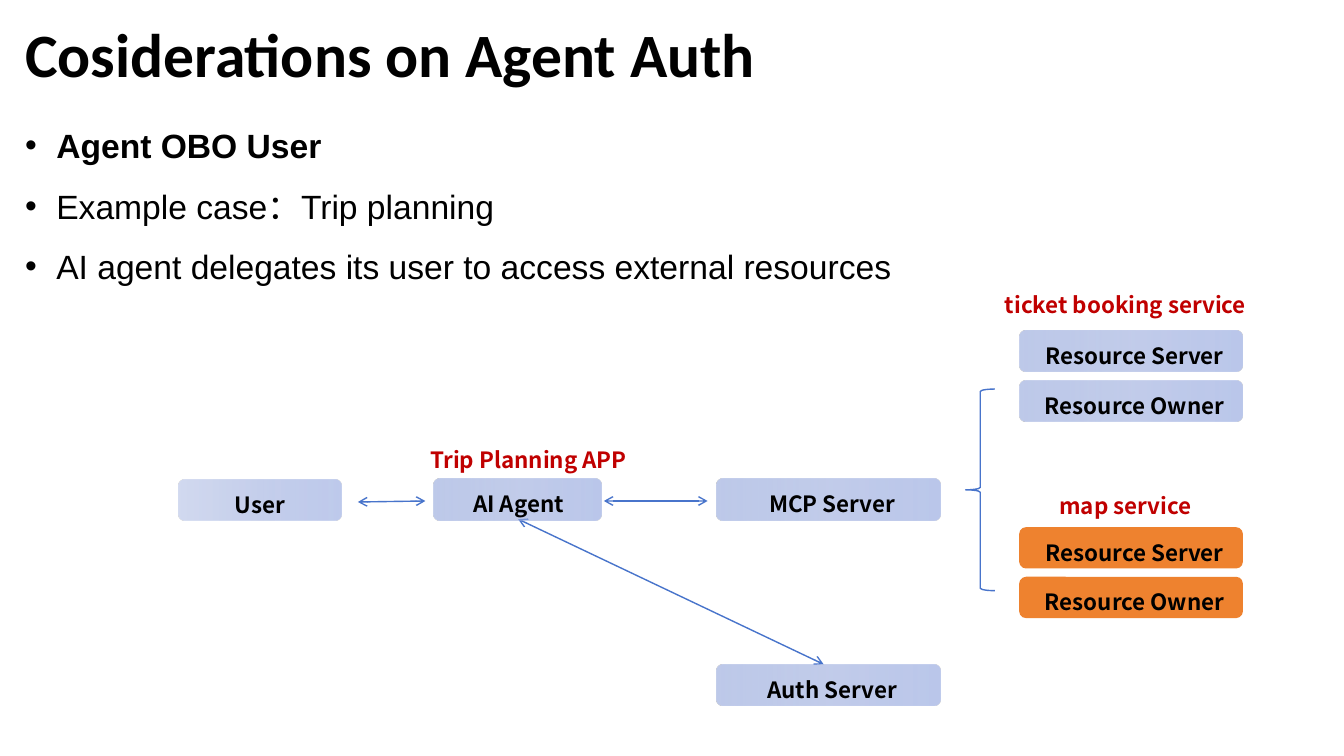
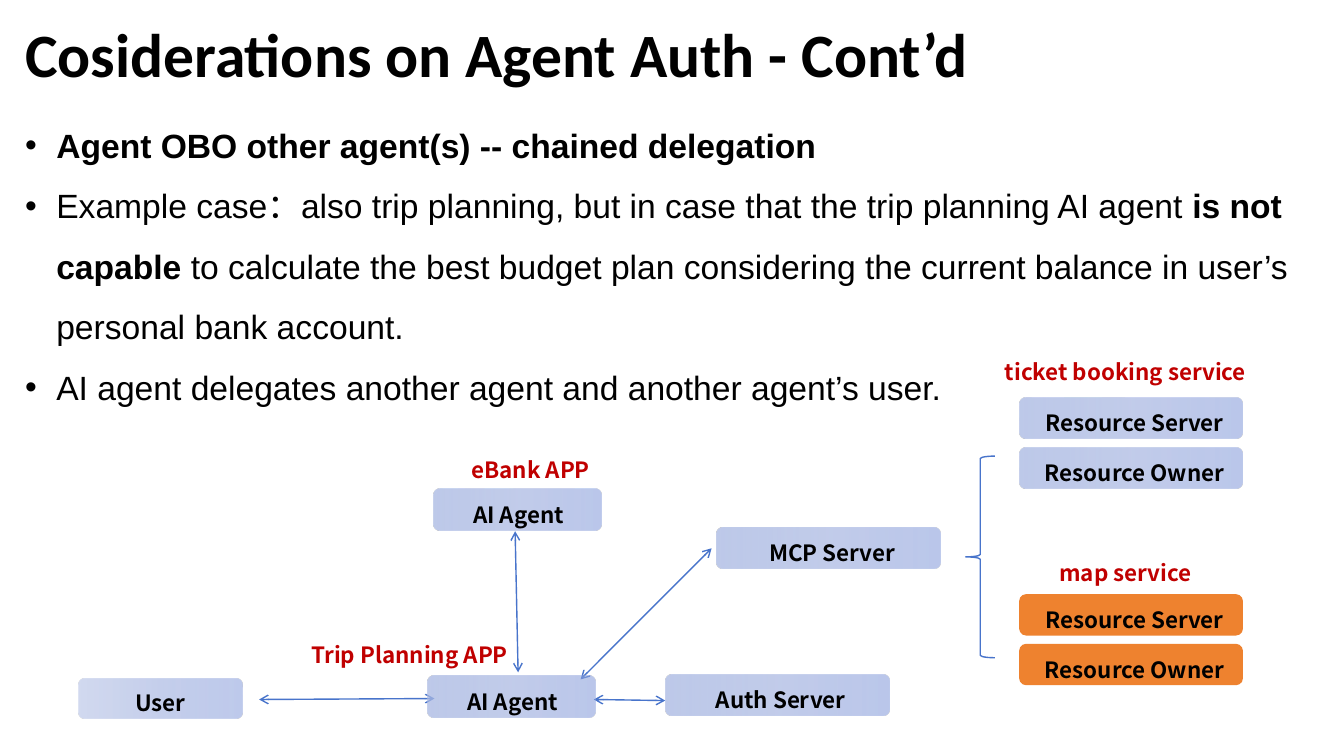
from dataclasses import dataclass
from typing import NamedTuple

from lxml.etree import SubElement
from pptx import Presentation
from pptx.dml.color import RGBColor
from pptx.enum.shapes import MSO_CONNECTOR as Connector, MSO_SHAPE as Preset
from pptx.enum.text import MSO_ANCHOR as Anchor, PP_ALIGN as Align
from pptx.oxml.ns import qn
from pptx.util import Emu, Inches, Pt

SLIDE_WIDTH, SLIDE_HEIGHT = Inches(13.33), Inches(7.5)
BLACK, RED, ORANGE, BLUE = "000000", "C00000", "EE822F", "4874CB"
TITLE_FONT, BODY_FONT, LABEL_FONT = "Calibri", "Arial", "Noto Sans CJK SC"
BODY_INDENT = Inches(0.31)
LABEL_WIDTH, LABEL_HEIGHT = 21.23, 4.8


class Stop(NamedTuple):
    position: int
    colour: str
    opacity: int


class Span(NamedTuple):
    text: str
    bold: bool = False


class Area(NamedTuple):
    left: float
    top: float
    width: float
    height: float


class Label(NamedTuple):
    text: str
    left: float
    top: float


class Link(NamedTuple):
    start: tuple[float, float]
    end: tuple[float, float]


@dataclass(frozen=True)
class NodeStyle:
    width: float
    height: float
    fill: str | tuple[Stop, ...]
    text_shift: float = 0


@dataclass(frozen=True)
class Node:
    text: str
    style: NodeStyle
    left: float
    top: float


@dataclass(frozen=True)
class Diagram:
    title: str
    body_height: float
    bullets: list[list[Span]]
    services_top: float
    labels: list[Label]
    links: list[Link]
    nodes: list[Node]


SOFT_BLUE = (Stop(0, "AAB9E3", 76), Stop(50, "9CADDE", 61), Stop(100, "8A9FDD", 58))
PALE_BLUE = (Stop(0, "AAB9E3", 53), Stop(50, "9CADDE", 58), Stop(100, "8A9FDD", 55))
USER = NodeStyle(12.15, 5.33, PALE_BLUE)
AGENT = NodeStyle(12.53, 5.47, SOFT_BLUE, 0.02)
SERVER = NodeStyle(16.65, 5.47, SOFT_BLUE, 0.07)
MAP_SERVER = NodeStyle(16.65, 5.47, ORANGE, 0.07)

DIAGRAMS = [
    Diagram(
        title="Cosiderations on Agent Auth",
        body_height=30,
        bullets=[
            [Span("Agent OBO User", True)],
            [Span("Example case：Trip planning")],
            [Span("AI agent delegates its user to access external resources")],
        ],
        services_top=43.73,
        labels=[Label("Trip Planning APP", 28.73, 58.4)],
        links=[
            Link((26.63, 66.4), (31.65, 66.27)),
            Link((44.93, 66.27), (52.65, 66.27)),
            Link((38.55, 68.67), (61.28, 87.87)),
        ],
        nodes=[
            Node("User", USER, 13.28, 63.47),
            Node("AI Agent", AGENT, 32.25, 63.33),
            Node("MCP Server", SERVER, 53.33, 63.33),
            Node("Auth Server", SERVER, 53.33, 87.87),
        ],
    ),
    Diagram(
        title="Cosiderations on Agent Auth - Cont’d",
        body_height=24.67,
        bullets=[
            [Span("Agent OBO other agent(s) -- chained delegation", True)],
            [
                Span("Example case：also trip planning, but in case that the trip planning AI agent "),
                Span("is not capable", True),
                Span(" to calculate the best budget plan considering the current balance in user’s personal bank account."),
            ],
            [Span("AI agent delegates another agent and another agent’s user.")],
        ],
        services_top=52.6,
        labels=[
            Label("eBank APP", 28.88, 59.73),
            Label("Trip Planning APP", 19.88, 84.13),
        ],
        links=[
            Link((19.28, 92.53), (32.33, 92.4)),
            Link((43.2, 89.87), (52.95, 72.53)),
            Link((44.18, 92.53), (49.5, 92.67)),
            Link((38.55, 88.93), (38.33, 70.27)),
        ],
        nodes=[
            Node("User", USER, 5.87, 89.73),
            Node("AI Agent", AGENT, 32.25, 64.67),
            Node("AI Agent", AGENT, 31.8, 89.4),
            Node("MCP Server", SERVER, 53.33, 69.73),
            Node("Auth Server", SERVER, 49.5, 89.2),
        ],
    ),
]


def across(share: float) -> Emu:
    return Emu(round(SLIDE_WIDTH * share / 100))


def down(share: float) -> Emu:
    return Emu(round(SLIDE_HEIGHT * share / 100))


def place(area: Area) -> tuple[Emu, Emu, Emu, Emu]:
    return across(area.left), down(area.top), across(area.width), down(area.height)


def rgb(colour: str) -> RGBColor:
    return RGBColor.from_string(colour)


def add_span(para, span: Span, font: str, size: float, colour: str) -> None:
    run = para.add_run()
    run.text = span.text
    run.font.name = font
    run.font.size = Pt(size)
    run.font.bold = span.bold
    run.font.color.rgb = rgb(colour)


def add_text_box(page, area: Area):
    frame = page.shapes.add_textbox(*place(area)).text_frame
    frame.word_wrap = True
    return frame


def add_title(page, text: str) -> None:
    frame = add_text_box(page, Area(1.13, 2.53, 91.13, 10.13))
    frame.vertical_anchor = Anchor.MIDDLE
    para = frame.paragraphs[0]
    para.line_spacing = 0.9
    add_span(para, Span(text, True), TITLE_FONT, 44, BLACK)


def add_bullets(page, bullets: list[list[Span]], height: float) -> None:
    frame = add_text_box(page, Area(1.13, 13.2, 97.95, height))
    for index, spans in enumerate(bullets):
        para = frame.add_paragraph() if index else frame.paragraphs[0]
        para.line_spacing = 1.5
        properties = para._p.get_or_add_pPr()
        properties.set("marL", str(BODY_INDENT))
        properties.set("indent", str(-BODY_INDENT))
        SubElement(properties, qn("a:buFont"), typeface=BODY_FONT)
        SubElement(properties, qn("a:buChar"), char="•")
        for span in spans:
            add_span(para, span, BODY_FONT, 24, BLACK)


def add_label(page, label: Label) -> None:
    frame = add_text_box(page, Area(label.left, label.top, LABEL_WIDTH, LABEL_HEIGHT))
    para = frame.paragraphs[0]
    para.alignment = Align.CENTER
    add_span(para, Span(label.text, True), LABEL_FONT, 16, RED)


def fill_gradient(shape, stops: tuple[Stop, ...]) -> None:
    shape.fill.gradient()
    shape.fill.gradient_angle = 0
    stop_list = shape._element.spPr.find(qn("a:gradFill")).find(qn("a:gsLst"))
    for old_stop in list(stop_list):
        stop_list.remove(old_stop)
    for stop in stops:
        entry = SubElement(stop_list, qn("a:gs"), pos=str(stop.position * 1000))
        colour = SubElement(entry, qn("a:srgbClr"), val=stop.colour)
        SubElement(colour, qn("a:alpha"), val=str(stop.opacity * 1000))


def add_node(page, node: Node) -> None:
    style = node.style
    area = Area(node.left, node.top, style.width, style.height)
    box = page.shapes.add_shape(Preset.ROUNDED_RECTANGLE, *place(area))
    box.shadow.inherit = False
    box.line.fill.background()
    if isinstance(style.fill, str):
        box.fill.solid()
        box.fill.fore_color.rgb = rgb(style.fill)
    else:
        fill_gradient(box, style.fill)
    frame = box.text_frame
    frame.word_wrap = True
    frame.vertical_anchor = Anchor.MIDDLE
    frame.margin_left, frame.margin_right = Inches(style.text_shift), 0
    frame.margin_top, frame.margin_bottom = Inches(0.09), 0
    para = frame.paragraphs[0]
    para.alignment = Align.CENTER
    add_span(para, Span(node.text, True), LABEL_FONT, 16, BLACK)


def add_link(page, link: Link) -> None:
    (left, top), (right, bottom) = link.start, link.end
    arrow = page.shapes.add_connector(
        Connector.STRAIGHT, across(left), down(top), across(right), down(bottom)
    )
    arrow.line.color.rgb = rgb(BLUE)
    arrow.line.width = Pt(1)
    outline = arrow.line._get_or_add_ln()
    for end in ("a:headEnd", "a:tailEnd"):
        SubElement(outline, qn(end), type="arrow")
    SubElement(arrow._element.spPr, qn("a:effectLst"))


def add_services(page, top: float) -> None:
    brace = page.shapes.add_shape(
        Preset.LEFT_BRACE, *place(Area(71.85, top + 7.73, 2.18, 26.67))
    )
    brace.shadow.inherit = False
    brace.fill.background()
    brace.line.color.rgb = rgb(BLUE)
    brace.line.width = Pt(1)
    services = [
        ("ticket booking service", SERVER, top, 5.9),
        ("map service", MAP_SERVER, top + 26, 5.33),
    ]
    for name, style, service_top, label_rise in services:
        add_label(page, Label(name, 73.13, service_top - label_rise))
        for row, text in enumerate(("Resource Server", "Resource Owner")):
            add_node(page, Node(text, style, 75.83, service_top + 6.57 * row))


def add_diagram(deck, diagram: Diagram) -> None:
    page = deck.slides.add_slide(deck.slide_layouts[6])
    add_title(page, diagram.title)
    add_bullets(page, diagram.bullets, diagram.body_height)
    add_services(page, diagram.services_top)
    for label in diagram.labels:
        add_label(page, label)
    for link in diagram.links:
        add_link(page, link)
    for node in diagram.nodes:
        add_node(page, node)


def main() -> None:
    deck = Presentation()
    deck.slide_width, deck.slide_height = SLIDE_WIDTH, SLIDE_HEIGHT
    for diagram in DIAGRAMS:
        add_diagram(deck, diagram)
    deck.save("out.pptx")


if __name__ == "__main__":
    main()
